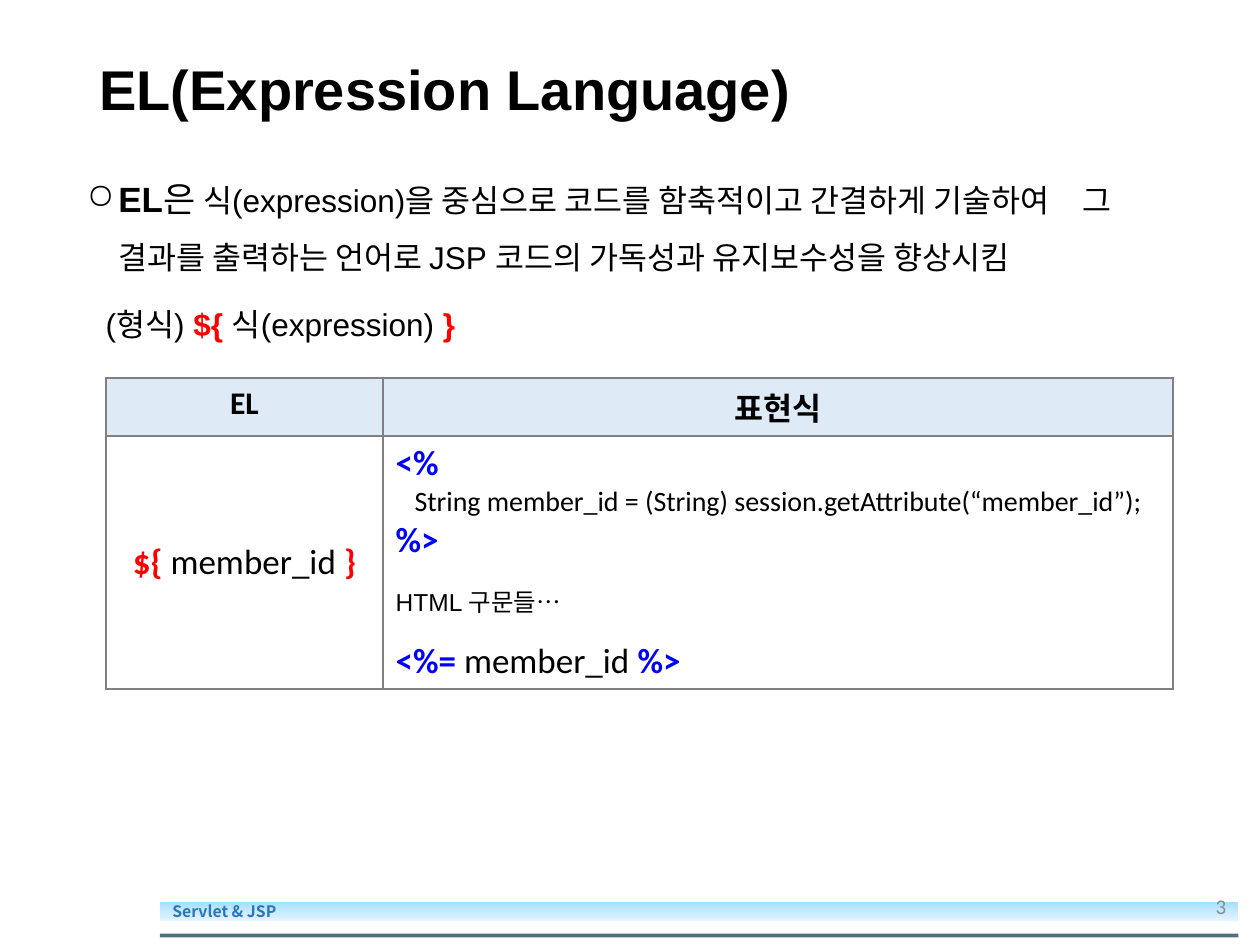
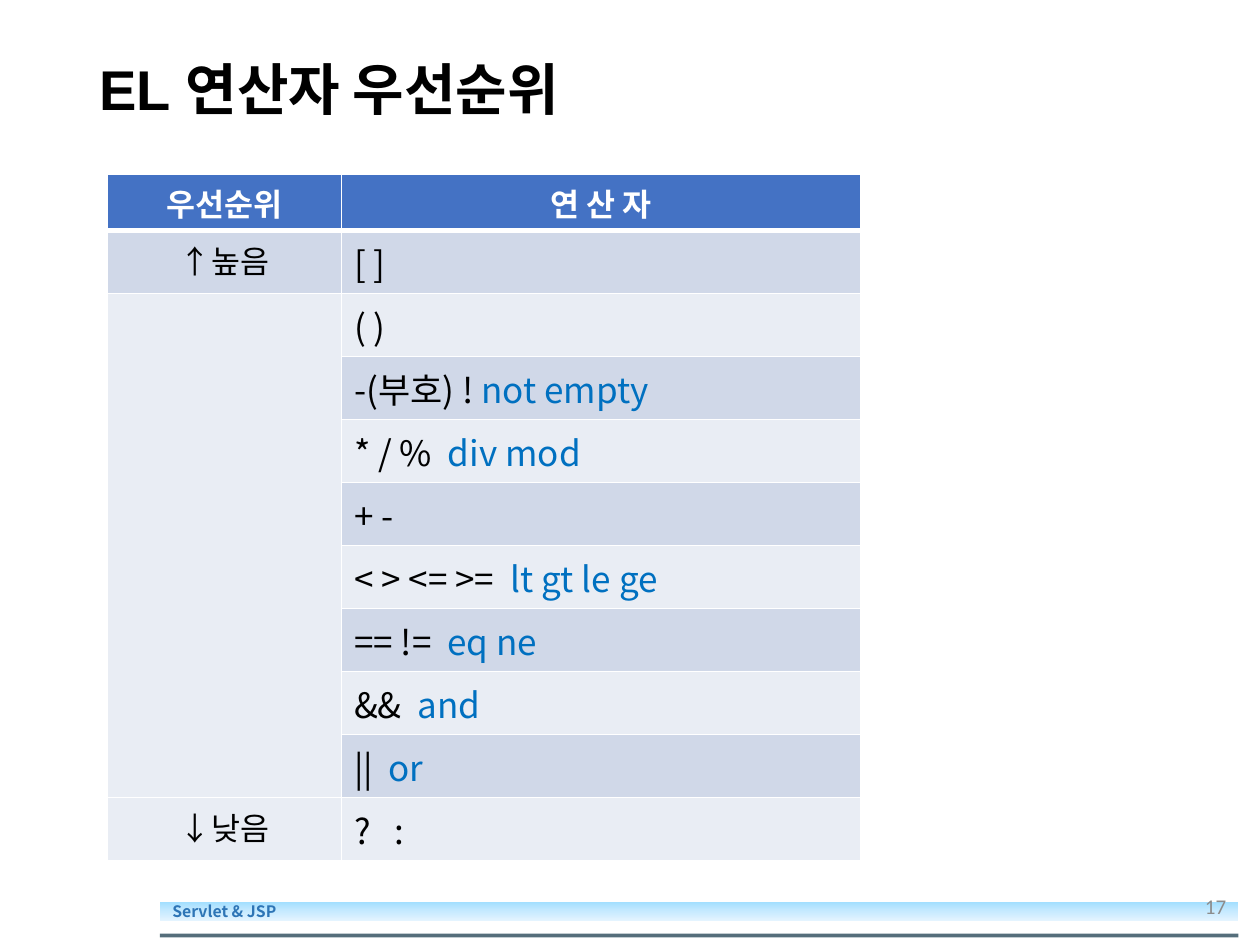
from dataclasses import dataclass, replace
from pptx import Presentation
from pptx.dml.color import RGBColor
from pptx.enum.shapes import MSO_SHAPE
from pptx.enum.text import MSO_ANCHOR, PP_ALIGN
from pptx.oxml import parse_xml
from pptx.oxml.ns import nsdecls, qn
from pptx.util import Inches, Pt


@dataclass(frozen=True)
class Theme:
    black: str = "000000"
    white: str = "FFFFFF"
    red: str = "FF0000"
    blue: str = "0000FF"
    keyword: str = "0070C0"
    grid: str = "808080"
    pale_head: str = "DEEBF7"
    strong_head: str = "4472C4"
    band_dark: str = "D0D8E8"
    band_light: str = "E9EDF4"
    footer_line: str = "0D3144"
    footer_text: str = "2E75B6"
    page_number: str = "8C8C8C"
    footer_stops: tuple = ((0, "A3DFFF"), (50, "C7EAFF"), (100, "E4F4FF"))
    sans: str = "Arial"
    table: str = "Calibri"
    korean: str = "Noto Sans CJK KR"
    title_size: int = 32
    big: int = 20
    normal: int = 18
    code: int = 16
    small: int = 14
    number_size: int = 12
    footer_size: int = 9


T = Theme()


@dataclass(frozen=True)
class Run:
    text: str
    size: int = T.normal
    color: str = T.black
    bold: bool = False
    font: str = T.sans
    spacing: float = 0


def rgb(color):
    return RGBColor.from_string(color)


def write(tf, runs, align=PP_ALIGN.LEFT, line=1.0, after=0, left=0, hanging=0, bullet=None):
    """Add a paragraph, using the first one while it is still empty."""
    p = tf.paragraphs[0]
    if p.runs:
        p = tf.add_paragraph()
    p.alignment, p.line_spacing, p.space_after = align, line, Pt(after)
    p.space_before = Pt(0)
    pPr = p._p.get_or_add_pPr()
    pPr.set("marL", str(Inches(left)))
    pPr.set("indent", str(-Inches(hanging)))
    if bullet:
        pPr.append(parse_xml(f'<a:buChar {nsdecls("a")} char="{bullet}"/>'))
    for item in runs:
        r = p.add_run()
        r.text = item.text
        r.font.size, r.font.bold, r.font.name = Pt(item.size), item.bold, item.font
        r.font.color.rgb = rgb(item.color)
        rPr = r._r.get_or_add_rPr()
        if item.spacing:
            rPr.set("spc", str(int(item.spacing * 100)))
        rPr.find(qn("a:latin")).addnext(
            parse_xml(f'<a:ea {nsdecls("a")} typeface="{T.korean}"/>'))


def add_text(s, x, y, w, h, anchor=MSO_ANCHOR.TOP):
    tf = s.shapes.add_textbox(Inches(x), Inches(y), Inches(w), Inches(h)).text_frame
    tf.word_wrap = True
    tf.vertical_anchor = anchor
    return tf


def add_bar(s, y, h):
    sp = s.shapes.add_shape(MSO_SHAPE.RECTANGLE, Inches(1.27), Inches(y), Inches(8.56), Inches(h))
    sp.shadow.inherit = False
    sp.line.fill.background()
    return sp


def add_footer(s, number):
    line = add_bar(s, 7.41, 0.03)
    line.fill.solid()
    line.fill.fore_color.rgb = rgb(T.footer_line)
    color = line._element.spPr.find(qn("a:solidFill"))[0]
    color.append(parse_xml(f'<a:alpha {nsdecls("a")} val="70000"/>'))

    band = add_bar(s, 7.16, 0.15)
    band.fill.gradient()
    band.fill.gradient_angle = 270
    stops = band._element.spPr.find(".//" + qn("a:gsLst"))
    for stop in list(stops):
        stops.remove(stop)
    for position, shade in T.footer_stops:
        stops.append(parse_xml(f'<a:gs {nsdecls("a")} pos="{position * 1000}">'
                               f'<a:srgbClr val="{shade}"/></a:gs>'))
    tf = band.text_frame
    tf.margin_top = tf.margin_bottom = 0
    tf.vertical_anchor = MSO_ANCHOR.MIDDLE
    write(tf, [Run("Servlet & JSP", T.footer_size, T.footer_text, True, T.korean)])

    tf = add_text(s, 9.34, 6.99, 0.49, 0.4, MSO_ANCHOR.MIDDLE)
    write(tf, [Run(str(number), T.number_size, T.page_number, font=T.table)], PP_ALIGN.RIGHT)


def add_slide(prs, title, number):
    s = prs.slides.add_slide(prs.slide_layouts[6])
    add_footer(s, number)
    tf = add_text(s, 0.69, 0.4, 8.62, 0.66, MSO_ANCHOR.MIDDLE)
    write(tf, [Run(title, T.title_size, bold=True)], line=0.9)
    return s


def add_grid(s, x, y, columns, rows):
    table = s.shapes.add_table(len(rows), len(columns), Inches(x), Inches(y),
                               Inches(sum(columns)), Inches(sum(rows))).table
    table.first_row = table.horz_banding = False
    for column, width in zip(table.columns, columns):
        column.width = Inches(width)
    for row, height in zip(table.rows, rows):
        row.height = Inches(height)
    return table


def style_cell(cell, fill, border, top=1, bottom=1):
    cell.fill.solid()
    cell.fill.fore_color.rgb = rgb(fill)
    tcPr = cell._tc.get_or_add_tcPr()
    for i, (side, width) in enumerate(zip("LRTB", (1, 1, top, bottom))):
        tcPr.insert(i, parse_xml(
            f'<a:ln{side} {nsdecls("a")} w="{Pt(width)}"><a:solidFill>'
            f'<a:srgbClr val="{border}"/></a:solidFill></a:ln{side}>'))


def build_expression_slide(prs):
    s = add_slide(prs, "EL(Expression Language)", 3)
    tf = add_text(s, 0.59, 1.19, 8.89, 1.72)
    write(tf, [Run("EL", T.big, bold=True), Run("은 ", T.big),
               Run("식(expression)을 중심으로 코드를 함축적이고 간결하게 기술하여"),
               Run(" ", spacing=15),
               Run("그 결과를 출력하는 언어로 JSP 코드의 가독성과 유지보수성을 향상시킴")],
          line=1.5, after=6, left=0.25, hanging=0.25, bullet="○")
    mark = Run("", color=T.red, bold=True)
    write(tf, [Run("(형식) "), replace(mark, text="${ "), Run("식(expression) "),
               replace(mark, text="}")], line=1.5, after=24, left=0.15)

    table = add_grid(s, 0.84, 3, (2.2, 6.27), (0.46, 2.01))
    for column, heading in enumerate(("EL", "표현식")):
        head, body = table.cell(0, column), table.cell(1, column)
        style_cell(head, T.pale_head, T.grid)
        style_cell(body, T.white, T.grid)
        body.vertical_anchor = MSO_ANCHOR.MIDDLE
        write(head.text_frame, [Run(heading, bold=True, font=T.table)], PP_ALIGN.CENTER)

    member = Run("member_id ", T.big, font=T.table)
    brace = replace(member, color=T.red, bold=True)
    tag = replace(brace, color=T.blue)
    write(table.cell(1, 0).text_frame,
          [replace(brace, text="${ "), member, replace(brace, text="}")], PP_ALIGN.CENTER)
    tf = table.cell(1, 1).text_frame
    write(tf, [replace(tag, text="<%")])
    write(tf, [Run("String member_id = (String) session.getAttribute(“member_id”);",
                   T.code, font=T.table)], left=0.15)
    write(tf, [replace(tag, text="%>")], after=12)
    write(tf, [Run("HTML 구문들…", T.small)], after=12)
    write(tf, [replace(tag, text="<%= "), member, replace(tag, text="%>")])


def build_precedence_slide(prs):
    s = add_slide(prs, "EL 연산자 우선순위", 17)
    # Symbols, extra gap after them in points, keyword forms
    operators = (("[ ]", 0, ""), ("( )", 0, ""), ("-(부호) !", 0, "not empty"),
                 ("* / %", 4.5, "div mod"), ("+ -", 0, ""), ("< > <= >=", 4.5, "lt gt le ge"),
                 ("== !=", 4.5, "eq ne"), ("&&", 4.5, "and"), ("||", 4.5, "or"), ("?", 9, ":"))
    last = len(operators)
    table = add_grid(s, 0.85, 1.38, (1.86, 4.12), [0.45] + [0.5] * last)
    for column, heading in enumerate(("우선순위", "연 산 자")):
        cell = table.cell(0, column)
        style_cell(cell, T.strong_head, T.white, bottom=3)
        write(cell.text_frame, [Run(heading, color=T.white, bold=True, font=T.korean)],
              PP_ALIGN.CENTER)
    for row, (symbols, gap, words) in enumerate(operators, 1):
        fill = T.band_dark if row % 2 else T.band_light
        top = 3 if row == 1 else 1
        style_cell(table.cell(row, 0), T.band_dark if row == 1 else T.band_light, T.white, top)
        style_cell(table.cell(row, 1), fill, T.white, top)
        base = Run(symbols, T.big, font=T.korean)
        runs = [base]
        if words:
            color = T.black if words == ":" else T.keyword
            runs += [replace(base, text=" ", spacing=gap), replace(base, text=words, color=color)]
        write(table.cell(row, 1).text_frame, runs)
    for row, label in ((1, "↑높음"), (last, "↓낮음")):
        write(table.cell(row, 0).text_frame, [Run(label, font=T.korean)], PP_ALIGN.CENTER)
    table.cell(2, 0).merge(table.cell(last - 1, 0))


def main():
    prs = Presentation()
    prs.slide_width, prs.slide_height = Inches(10), Inches(7.5)
    build_expression_slide(prs)
    build_precedence_slide(prs)
    prs.save("out.pptx")


if __name__ == "__main__":
    main()
